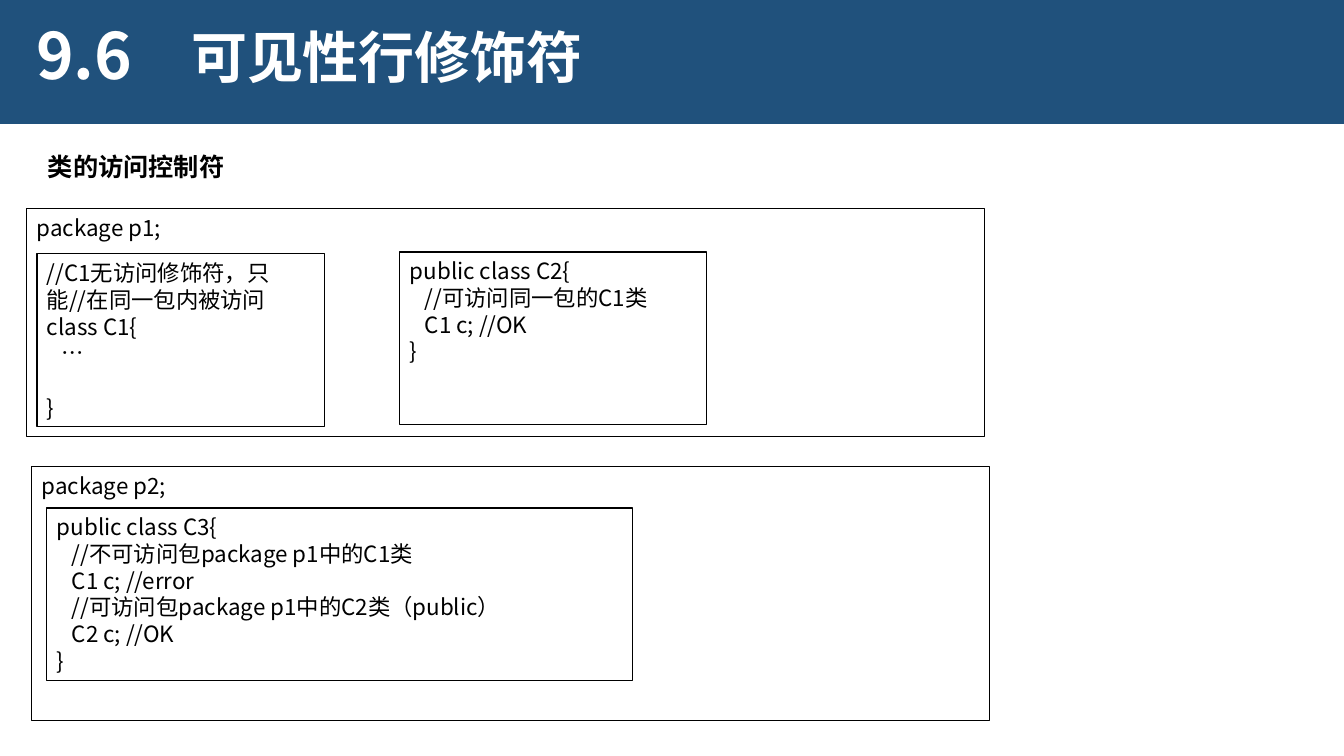
"""Build the slide on class access modifiers in two packages."""
from dataclasses import dataclass

from lxml.etree import SubElement
from pptx import Presentation
from pptx.dml.color import RGBColor
from pptx.enum.shapes import MSO_SHAPE
from pptx.enum.text import MSO_ANCHOR, MSO_AUTO_SIZE, PP_ALIGN
from pptx.oxml.ns import qn
from pptx.util import Pt


@dataclass(frozen=True)
class Theme:
    banner: RGBColor = RGBColor(0x20, 0x51, 0x7C)
    light: RGBColor = RGBColor(255, 255, 255)
    ink: RGBColor = RGBColor(0, 0, 0)
    font: str = "Noto Sans CJK SC"
    subtitle_font: str = "Calibri"
    number_size: float = 45.6
    title_size: int = 40
    subtitle_size: int = 18
    code_size: int = 16
    line_width: float = 0.75


THEME = Theme()
EMU_PER_PX = 914400 / 100.8
PAGE_SIZE = (1344, 756)
BANNER_AREA = (-3, 0, 1347, 124)
NUMBER = ("9.6", (26, 19, 138, 92))
TITLE = ("可见性行修饰符", (181, 25, 1132, 54))
SUBTITLE = ("类的访问控制符", (38, 146, 200, 40))
CODE_INDENT = 15
BLANK_LINE = 20

# Each code line holds its text, indent level and blank lines before it.
CODE_BOXES = [
    ((27, 209, 958, 228), [("package p1;", 0, 0)]),
    ((37, 254, 288, 173), [
        ("//C1无访问修饰符，只能//在同一包内被访问", 0, 0),
        ("class C1{", 0, 0),
        ("…", 1, 0),
        ("}", 0, 1),
    ]),
    ((400, 252, 307, 173), [
        ("public class C2{", 0, 0),
        ("//可访问同一包的C1类", 1, 0),
        ("C1 c; //OK", 1, 0),
        ("}", 0, 0),
    ]),
    ((32, 467, 958, 254), [("package p2;", 0, 0)]),
    ((47, 508, 586, 173), [
        ("public class C3{", 0, 0),
        ("//不可访问包package p1中的C1类", 1, 0),
        ("C1 c; //error", 1, 0),
        ("//可访问包package p1中的C2类（public）", 1, 0),
        ("C2 c; //OK", 1, 0),
        ("}", 0, 0),
    ]),
]


def px(length):
    """Turn px into EMU."""
    return round(length * EMU_PER_PX)


def place(shape, area):
    """Move and size a shape."""
    shape.left, shape.top, shape.width, shape.height = map(px, area)


def format_text(para, size, color, font=THEME.font, bold=False):
    """Format every run of a paragraph."""
    for span in para.runs:
        span.font.size = Pt(size)
        span.font.bold = bold
        span.font.color.rgb = color
        span.font.name = font
        if font == THEME.font:
            SubElement(span.font._element, qn("a:ea"), typeface=font)


def fill_heading(placeholder, content, size, alignment):
    """Write a banner heading into a placeholder."""
    text, area = content
    place(placeholder, area)
    frame = placeholder.text_frame
    frame.text = text
    frame.auto_size = MSO_AUTO_SIZE.NONE
    frame.vertical_anchor = MSO_ANCHOR.TOP
    para = frame.paragraphs[0]
    para.alignment = alignment
    para.line_spacing = 0.9
    para.space_before = Pt(10)
    properties = para._p.get_or_add_pPr()
    properties.set("marL", "0")
    properties.set("indent", "0")
    SubElement(properties, qn("a:buNone"))
    format_text(para, size, THEME.light, bold=True)


def add_rectangle(page, area):
    """Add a plain rectangle without shadow."""
    box = page.shapes.add_shape(MSO_SHAPE.RECTANGLE, *map(px, area))
    box.shadow.inherit = False
    return box


def add_code_box(page, area, lines):
    """Add an outlined box of code lines."""
    box = add_rectangle(page, area)
    box.fill.background()
    box.line.color.rgb = THEME.ink
    box.line.width = Pt(THEME.line_width)
    frame = box.text_frame
    frame.word_wrap = True
    frame.vertical_anchor = MSO_ANCHOR.TOP
    frame.text = "\n".join(text for text, _, _ in lines)
    for para, (_, level, blanks) in zip(frame.paragraphs, lines):
        para.alignment = PP_ALIGN.LEFT
        para.space_before = Pt(blanks * BLANK_LINE)
        para._p.get_or_add_pPr().set("marL", str(px(level * CODE_INDENT)))
        format_text(para, THEME.code_size, THEME.ink)


def main():
    """Build and save the deck."""
    deck = Presentation()
    deck.slide_width, deck.slide_height = map(px, PAGE_SIZE)
    page = deck.slides.add_slide(deck.slide_layouts[1])
    title, number = page.shapes.title, page.placeholders[1]
    fill_heading(title, TITLE, THEME.title_size, PP_ALIGN.LEFT)
    fill_heading(number, NUMBER, THEME.number_size, PP_ALIGN.JUSTIFY)

    banner = add_rectangle(page, BANNER_AREA)
    banner.fill.solid()
    banner.fill.fore_color.rgb = THEME.banner
    banner.line.fill.background()
    title.element.addprevious(banner.element)

    for area, lines in CODE_BOXES:
        add_code_box(page, area, lines)

    text, area = SUBTITLE
    subtitle = page.shapes.add_textbox(*map(px, area))
    subtitle.text_frame.text = text
    subtitle.text_frame.word_wrap = False
    format_text(subtitle.text_frame.paragraphs[0], THEME.subtitle_size,
                THEME.ink, THEME.subtitle_font, bold=True)
    deck.save("out.pptx")


if __name__ == "__main__":
    main()
